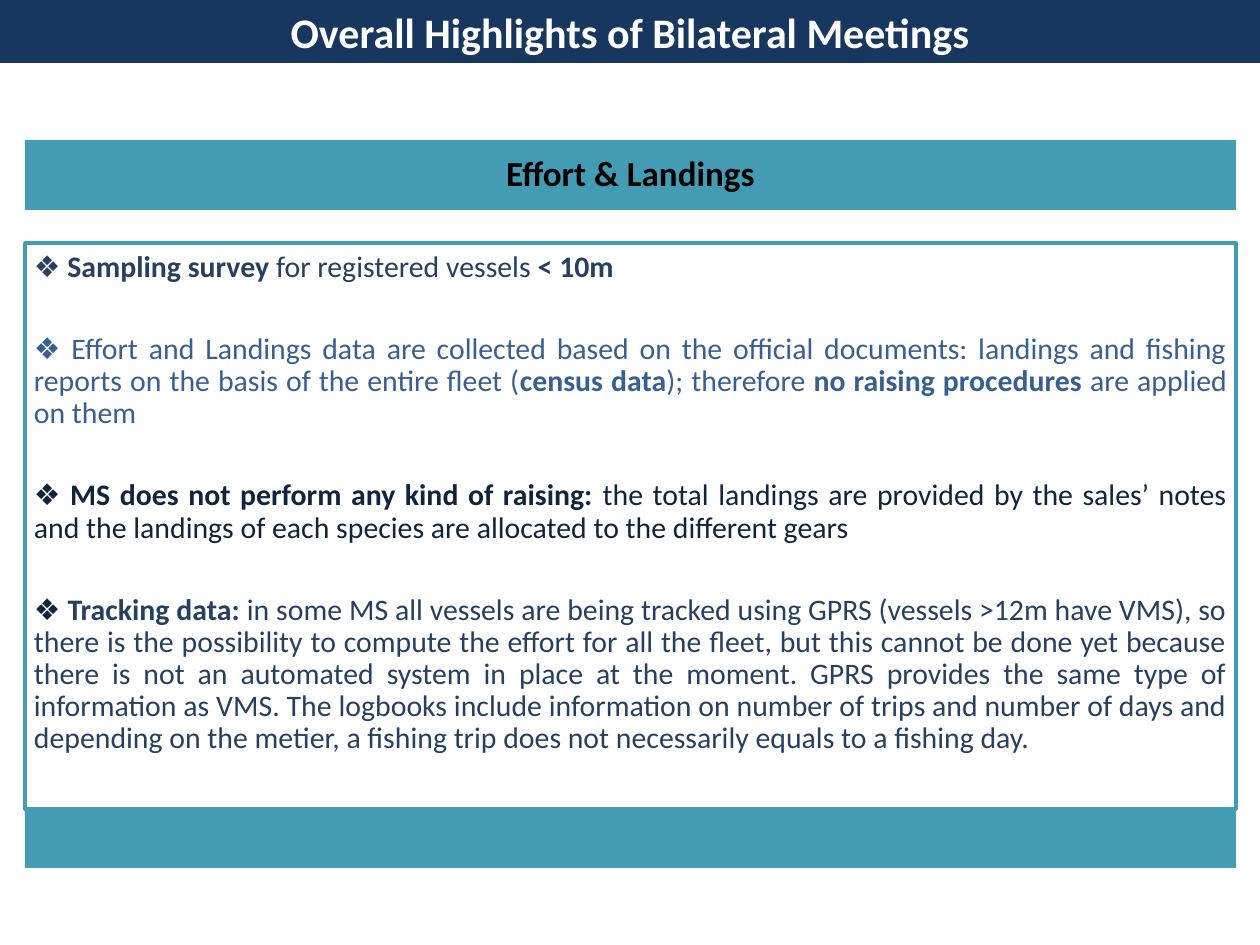
"""Build the slide on effort and landings from the bilateral meetings."""
from pptx import Presentation
from pptx.dml.color import RGBColor
from pptx.enum.shapes import MSO_SHAPE as Shape
from pptx.enum.text import MSO_ANCHOR as Anchor, MSO_AUTO_SIZE as AutoSize, PP_ALIGN as Align
from pptx.util import Emu, Pt

TEAL, NAVY, SLATE, BLUE, INK = "449CB4", "17375E", "254061", "376092", "0F243E"
LEFT, WIDTH = 25, 1211


def px(count):
    return Emu(round(count * 914400 / 126))


def color(value):
    return RGBColor.from_string(value)


deck = Presentation()
deck.slide_width, deck.slide_height = px(1260), px(945)
slide = deck.slides.add_slide(deck.slide_layouts[5])

title = slide.shapes.title
title.left, title.top, title.width, title.height = px(0), px(0), px(1260), px(63)
title.fill.solid()
title.fill.fore_color.rgb = color(NAVY)
title.text_frame.text = "Overall Highlights of Bilateral Meetings"
title.text_frame.auto_size = AutoSize.NONE
title.text_frame.vertical_anchor = Anchor.TOP
heading = title.text_frame.paragraphs[0]
heading.alignment = Align.CENTER
heading.font.name, heading.font.size, heading.font.bold = "Calibri", Pt(24), True
heading.font.color.rgb = color("FFFFFF")

panels = []
for top, height, fill in [(140, 70, TEAL), (243, 566, "FFFFFF"), (810, 58, TEAL)]:
    panel = slide.shapes.add_shape(Shape.RECTANGLE, px(LEFT), px(top), px(WIDTH), px(height))
    panel.shadow.inherit = False
    panel.fill.solid()
    panel.fill.fore_color.rgb = color(fill)
    panel.line.fill.background()
    panels.append(panel)
topic, findings, footer = panels

topic.text_frame.text = "Effort & Landings"
topic.text_frame.vertical_anchor = Anchor.MIDDLE
topic_line = topic.text_frame.paragraphs[0]
topic_line.alignment = Align.CENTER
topic_line.line_spacing = 0.9
topic_line.font.name, topic_line.font.size, topic_line.font.bold = "Calibri", Pt(20), True
topic_line.font.color.rgb = color("000000")

findings.line.color.rgb = color(TEAL)
findings.line.width = Pt(2)
body = findings.text_frame
body.word_wrap = True
body.vertical_anchor = Anchor.TOP
body.margin_left = body.margin_right = body.margin_top = body.margin_bottom = px(9)

points = [
    [("❖ ", SLATE, False), ("Sampling survey ", SLATE, True),
     ("for registered vessels ", SLATE, False), ("< 10m", SLATE, True)],
    [("❖ Effort and Landings data are collected based on the official documents: "
      "landings and fishing reports on the basis of the entire fleet (", BLUE, False),
     ("census data", BLUE, True), ("); therefore ", BLUE, False),
     ("no raising procedures ", BLUE, True), ("are applied on them", BLUE, False)],
    [("❖ ", INK, False), ("MS does not perform any kind of raising: ", INK, True),
     ("the total landings are provided by the sales’ notes and the landings of each "
      "species are allocated to the different gears", INK, False)],
    [("❖ ", INK, False), ("Tracking data: ", SLATE, True),
     ("in some MS all vessels are being tracked using GPRS (vessels >12m have VMS), so "
      "there is the possibility to compute the effort for all the fleet, but this cannot "
      "be done yet because there is not an automated system in place at the moment. GPRS "
      "provides the same type of information as VMS. The logbooks include information on "
      "number of trips and number of days and depending on the metier, a fishing trip does "
      "not necessarily equals to a fishing day.", SLATE, False)],
]
for index, point in enumerate(points):
    paragraph = body.paragraphs[0] if index == 0 else body.add_paragraph()
    paragraph.alignment = Align.JUSTIFY
    paragraph.line_spacing = 0.9
    paragraph.space_after = Pt(28.5)
    paragraph.font.name, paragraph.font.size = "Calibri", Pt(17)
    for words, tint, bold in point:
        run = paragraph.add_run()
        run.text = words
        run.font.bold = bold
        run.font.color.rgb = color(tint)

deck.save("out.pptx")
